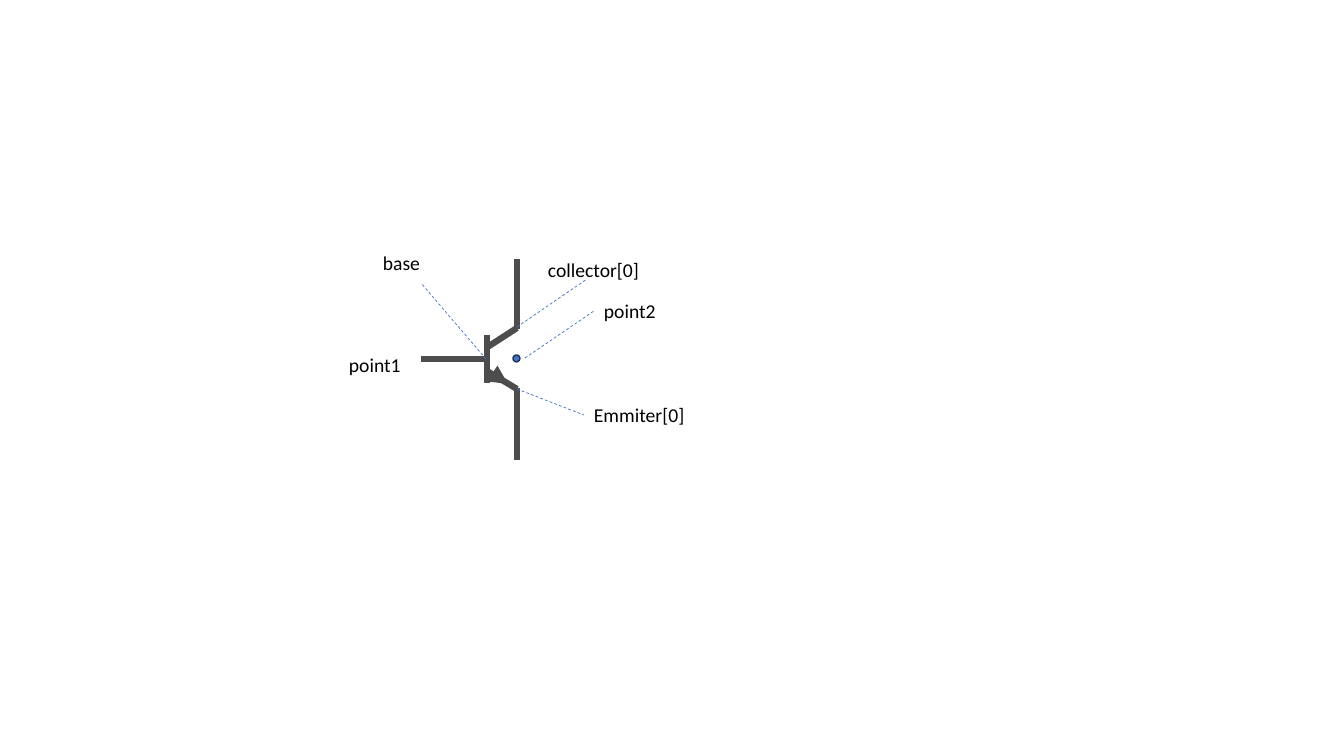
from lxml import etree
from pptx import Presentation
from pptx.dml.color import RGBColor
from pptx.enum.dml import MSO_LINE
from pptx.enum.shapes import MSO_CONNECTOR, MSO_SHAPE
from pptx.enum.text import MSO_AUTO_SIZE
from pptx.oxml.ns import qn
from pptx.util import Pt

PX = 914400 / 100.8
STRAIGHT = MSO_CONNECTOR.STRAIGHT
OVAL = MSO_SHAPE.OVAL
DASH = MSO_LINE.DASH
FIT_SHAPE = MSO_AUTO_SIZE.SHAPE_TO_FIT_TEXT
BLANK_LAYOUT = 6
GREY, BLUE, NAVY, BLACK = "4D4D4D", "4472C4", "1E3256", "000000"

WIRES = [
    (66, 76, 66, 124),
    (96, 0, 96, 70),
    (96, 129, 96, 201),
    (96, 69, 65, 89),
    (96, 130, 66, 112),
    (65, 100, 0, 100),
]
EMITTER_ARROW = (72, 115, 87, 125)
LABELS = [
    ("point1", 0, 102, 73),
    ("point2", 255, 48, 73),
    ("Emmiter[0]", 245, 152, 112),
    ("collector[0]", 199, 7, 112),
    ("base", 34, 0, 58),
]
LABEL_HEIGHT = 34
LEADERS = [
    (186, 112, 255, 65),
    (178, 143, 245, 169),
    (178, 81, 248, 33),
    (147, 113, 82, 37),
]
POINT2_DOT = (174, 109, 7)


def emu(pixels):
    return round(pixels * PX)


def color(value):
    return RGBColor.from_string(value)


def apply(target, formats):
    for name, value in formats.items():
        setattr(target, name, value)


def draw_line(shapes, box, ends, line_color, formats):
    x, y = box
    x1, y1, x2, y2 = ends
    s = shapes.add_connector(STRAIGHT, emu(x + x1), emu(y + y1), emu(x + x2), emu(y + y2))
    s.line.color.rgb = color(line_color)
    apply(s.line, formats)
    etree.SubElement(s._element.spPr, qn("a:effectLst"))
    return s


def draw_transistor(slide, box):
    shapes = slide.shapes.add_group_shape().shapes
    wire = {"width": Pt(4.5)}
    for ends in WIRES:
        draw_line(shapes, box, ends, GREY, wire)
    arrow = draw_line(shapes, box, EMITTER_ARROW, GREY, wire)
    etree.SubElement(arrow.line._get_or_add_ln(), qn("a:tailEnd"), type="triangle")


def draw_label(slide, box, text, left, top, width):
    x, y = box
    s = slide.shapes.add_textbox(emu(x + left), emu(y + top), emu(width), emu(LABEL_HEIGHT))
    tf = s.text_frame
    apply(tf, {"word_wrap": False, "auto_size": FIT_SHAPE})
    r = tf.paragraphs[0].add_run()
    r.text = text
    apply(r.font, {"name": "Calibri", "size": Pt(14)})
    r.font.color.rgb = color(BLACK)


def draw_annotations(slide, box):
    for label in LABELS:
        draw_label(slide, box, *label)
    for ends in LEADERS:
        draw_line(slide.shapes, box, ends, BLUE, {"width": Pt(0.5), "dash_style": DASH})
    x, y = box
    left, top, size = POINT2_DOT
    dot = slide.shapes.add_shape(OVAL, emu(x + left), emu(y + top), emu(size), emu(size))
    dot.shadow.inherit = False
    dot.fill.solid()
    dot.fill.fore_color.rgb = color(BLUE)
    dot.line.color.rgb = color(NAVY)
    dot.line.width = Pt(1)


prs = Presentation()
apply(prs, {"slide_width": emu(1344), "slide_height": emu(756)})
slide = prs.slides.add_slide(prs.slide_layouts[BLANK_LAYOUT])
draw_transistor(slide, (421, 259))
draw_annotations(slide, (339, 246))
prs.save("out.pptx")
